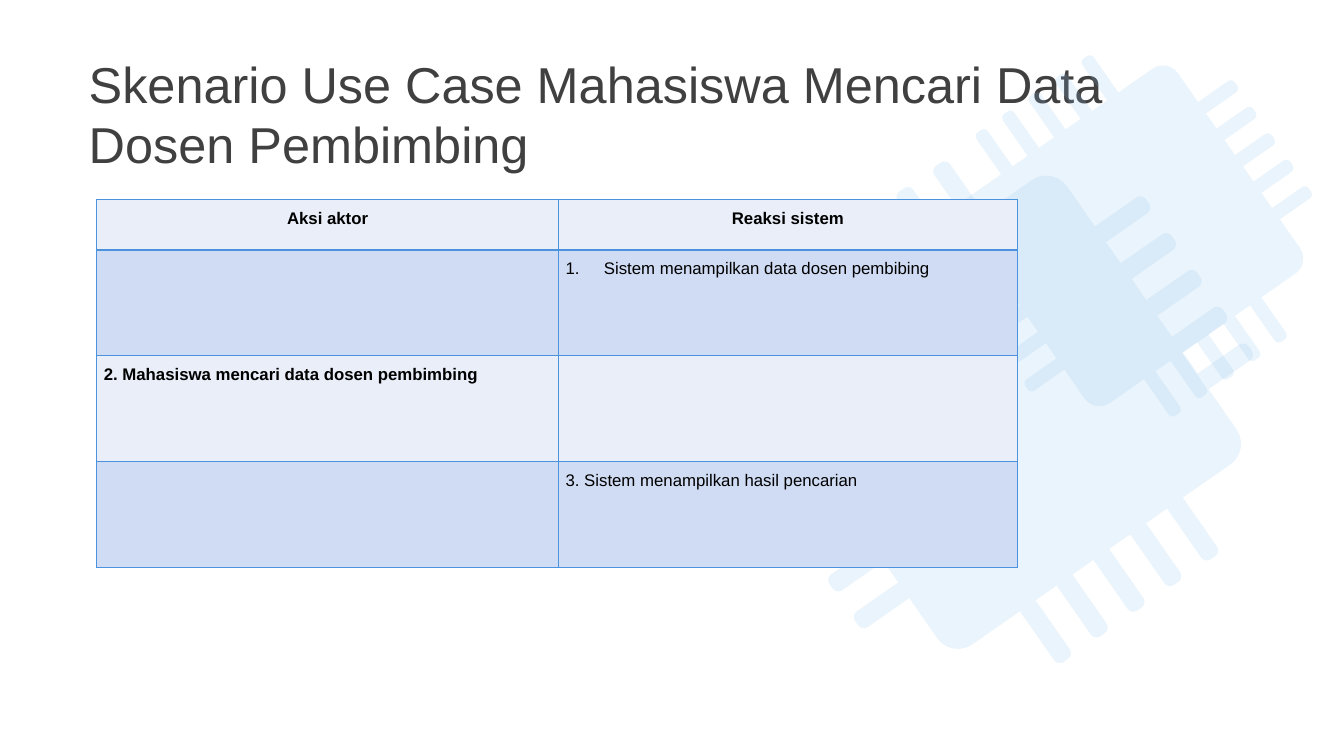
from math import cos, radians, sin

from lxml.etree import SubElement as Sub
from pptx import Presentation
from pptx.dml.color import RGBColor
from pptx.enum.text import MSO_ANCHOR as Anchor, MSO_AUTO_SIZE as Auto, PP_ALIGN as Align
from pptx.oxml.ns import qn
from pptx.util import Inches, Pt

TITLE = "Skenario Use Case Mahasiswa Mencari Data Dosen Pembimbing"
ROWS = [
    ("Aksi aktor", "Reaksi sistem"),
    ("", "Sistem menampilkan data dosen pembibing"),
    ("2. Mahasiswa mencari data dosen pembimbing", ""),
    ("", "3. Sistem menampilkan hasil pencarian"),
]
WIDTHS = [4.58, 4.55]
HEIGHTS = [0.5, 1.05, 1.05, 1.05]
BANDS = ["E9EEF9", "D0DCF3"]
HEAD = {"alignment": Align.CENTER, "line_spacing": 1.5, "space_after": Pt(10)}
BODY = {"alignment": Align.JUSTIFY, "line_spacing": 1.5}


def rgb(code):
    return RGBColor.from_string(code)


def put(target, values):
    """Set each named attribute of target."""
    for name, value in values.items():
        setattr(target, name, value)


def style(font, size, color, **more):
    put(font, {"name": "Arial", "size": Pt(size), **more})
    font.color.rgb = rgb(color)


def arc(x, y, r, start):
    """Points of a quarter circle, clockwise from the start angle."""
    turns = [radians(start + 15 * i) for i in range(7)]
    return [(x + r * cos(t), y + r * sin(t)) for t in turns]


def edge(half, out, tip=2.38, wide=0.095, bend=0.07, round_=0.25):
    """Top edge of a chip with five pins and its right corner."""
    pts = []
    for k in range(-2, 3):
        mid = 0.445 * k
        pts.append((mid - wide, -out))
        pts += arc(mid - wide + bend, bend - tip, bend, 180)
        pts += arc(mid + wide - bend, bend - tip, bend, 270)
        pts.append((mid + wide, -out))
    return pts + arc(half - round_, round_ - out, round_, 270)


def add_chip(slide, x, y, scale):
    """Rounded body with pins on four sides, centred at x, y."""
    wide, high = 1.81, 1.72
    pts = []
    for turn in range(4):
        side = edge(high, wide) if turn % 2 else edge(wide, high)
        for _ in range(turn):
            side = [(-b, a) for a, b in side]
        pts += side
    pts = [(Inches(x + scale * a), Inches(y + scale * b)) for a, b in pts]
    form = slide.shapes.build_freeform(*pts[0])
    form.add_line_segments(pts[1:], close=True)
    chip = form.convert_to_shape()
    chip.rotation = 325.1
    chip.shadow.inherit = False
    chip.line.fill.background()
    chip.fill.solid()
    chip.fill.fore_color.rgb = rgb("8FC4EF")
    tint = chip.fill._xPr.find(".//" + qn("a:srgbClr"))
    Sub(tint, qn("a:alpha"), val="18000")


def set_title(slide, text):
    title = slide.shapes.title
    put(title, {"left": Inches(0.78), "top": Inches(0.47),
                "width": Inches(11.27), "height": Inches(1.31)})
    frame = title.text_frame
    frame.text = text
    put(frame, {"word_wrap": True, "auto_size": Auto.NONE,
                "vertical_anchor": Anchor.MIDDLE})
    para = frame.paragraphs[0]
    para.alignment = Align.LEFT
    style(para.runs[0].font, 36, "404040")
    slide.shapes._spTree.append(title._element)


def add_edges(cell):
    props = cell._tc.get_or_add_tcPr()
    for i, tag in enumerate(("a:lnL", "a:lnR", "a:lnT", "a:lnB")):
        line = props.makeelement(qn(tag), {"w": str(Pt(1))})
        Sub(Sub(line, qn("a:solidFill")), qn("a:srgbClr"), val="4C93DF")
        props.insert(i, line)


def number(para):
    """Make the paragraph an automatically numbered item."""
    props = para._p.get_or_add_pPr()
    props.set("marL", str(Inches(0.38)))
    props.set("indent", str(Inches(-0.38)))
    Sub(props, qn("a:buFont"), typeface="+mj-lt")
    Sub(props, qn("a:buAutoNum"), type="arabicPeriod")


def fill_cell(cell, text, row, col):
    put(cell, {"margin_left": Inches(0.07), "margin_right": Inches(0.07),
               "margin_top": 0, "margin_bottom": 0})
    cell.fill.solid()
    cell.fill.fore_color.rgb = rgb(BANDS[row % 2])
    add_edges(cell)
    if text:
        cell.text = text
        para = cell.text_frame.paragraphs[0]
        put(para, BODY if row else HEAD)
        style(para.runs[0].font, 12, "000000", bold=row == 0 or col == 0)


def add_steps(slide):
    shape = slide.shapes.add_table(len(ROWS), len(WIDTHS), Inches(0.96), Inches(1.98),
                                   Inches(sum(WIDTHS)), Inches(sum(HEIGHTS)))
    table = shape.table
    put(table, {"first_row": False, "horz_banding": False})
    for col, width in zip(table.columns, WIDTHS):
        col.width = Inches(width)
    for r, texts in enumerate(ROWS):
        table.rows[r].height = Inches(HEIGHTS[r])
        for c, text in enumerate(texts):
            fill_cell(table.cell(r, c), text, r, c)
    number(table.cell(1, 1).text_frame.paragraphs[0])


def main():
    prs = Presentation()
    put(prs, {"slide_width": Inches(13.33), "slide_height": Inches(7.5)})
    slide = prs.slides.add_slide(prs.slide_layouts[5])
    add_chip(slide, 9.94, 4.09, 1)
    set_title(slide, TITLE)
    add_chip(slide, 11.22, 2.34, 0.72)
    add_steps(slide)
    prs.save("out.pptx")


if __name__ == "__main__":
    main()
